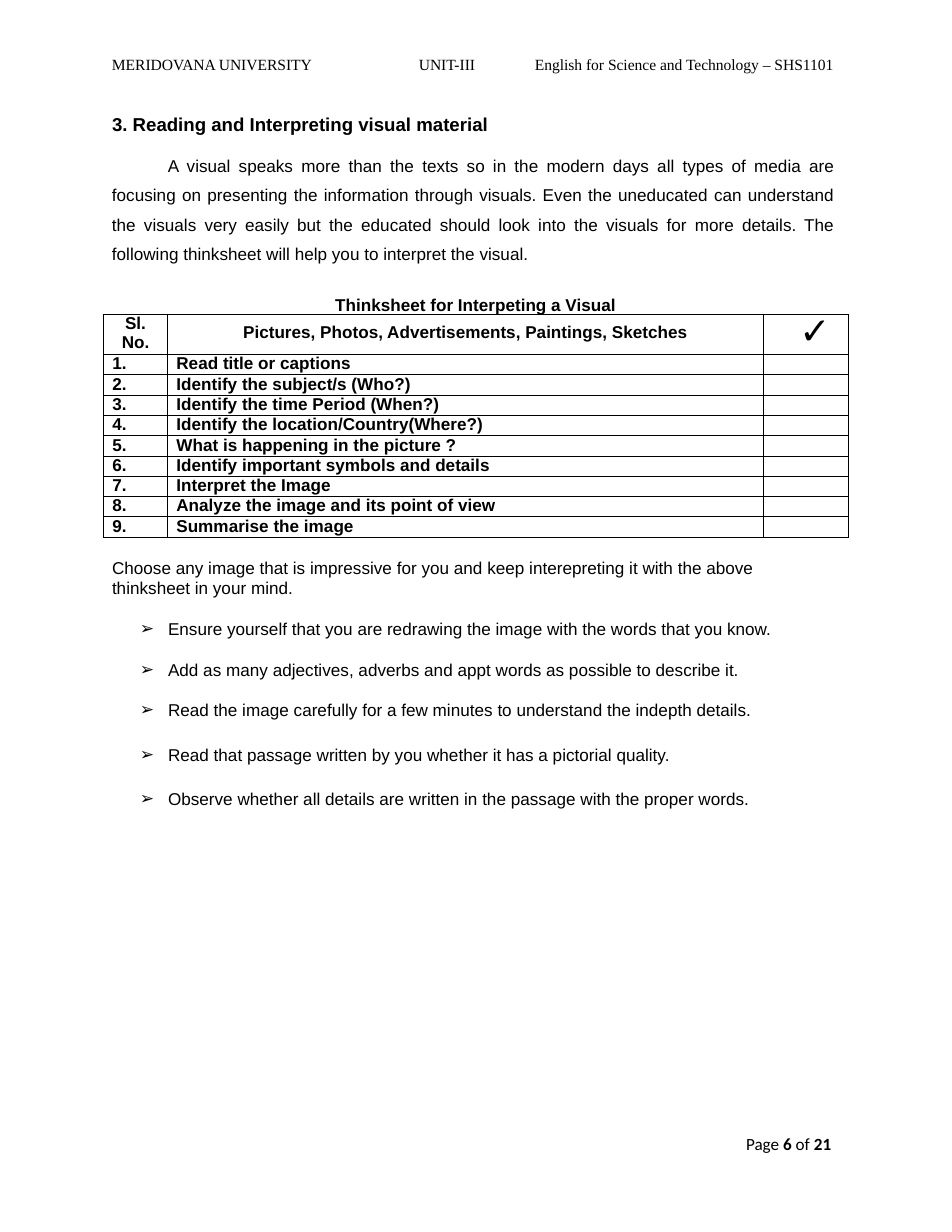
from lxml import etree
from pptx import Presentation
from pptx.dml.color import RGBColor
from pptx.enum.text import MSO_ANCHOR, MSO_AUTO_SIZE, PP_ALIGN
from pptx.oxml.ns import qn
from pptx.util import Cm, Pt

BLACK = RGBColor(0, 0, 0)
LEFT, CENTER, JUSTIFY = PP_ALIGN.LEFT, PP_ALIGN.CENTER, PP_ALIGN.JUSTIFY
TOP = MSO_ANCHOR.TOP
NO_FIT = MSO_AUTO_SIZE.NONE
MARGIN, TEXT_WIDTH = 2.54, 16.4


def place(sp, x, y, w, h):
    """Move a text shape (in cm), clear its insets and return its text frame."""
    sp.left, sp.top, sp.width, sp.height = Cm(x), Cm(y), Cm(w), Cm(h)
    tf = sp.text_frame
    tf.margin_left = tf.margin_top = tf.margin_right = tf.margin_bottom = 0
    tf.word_wrap = True
    tf.auto_size = NO_FIT
    tf.vertical_anchor = TOP
    return tf


def write(p, runs, size=11, font="Arial", align=LEFT, line=None, before=0):
    """Fill a paragraph with (text, bold) runs; line and before are in points."""
    p.alignment = align
    p.space_before = Pt(before)
    if line:
        p.line_spacing = Pt(line)
    for text, bold in runs:
        r = p.add_run()
        r.text = text
        r.font.name = font
        r.font.size = Pt(size)
        r.font.bold = bold
        r.font.color.rgb = BLACK


prs = Presentation()
prs.slide_width, prs.slide_height = Cm(21.59), Cm(27.94)
s = prs.slides.add_slide(prs.slide_layouts[1])
title, body = s.placeholders

# Page header
for x, w, text in [
    (MARGIN, 5.2, "MERIDOVANA UNIVERSITY"),
    (9.5, 1.6, "UNIT-III"),
    (12.13, 7.2, "English for Science and Technology – SHS1101"),
]:
    tf = place(s.shapes.add_textbox(0, 0, 0, 0), x, 1.25, w, 0.45)
    write(tf.paragraphs[0], [(text, False)], size=10, font="Times New Roman")

# Heading and introduction
tf = place(title, MARGIN, 2.57, TEXT_WIDTH, 0.5)
write(tf.paragraphs[0], [("3. Reading and Interpreting visual material", True)], size=12)

intro = (
    "A visual speaks more than the texts so in the modern days all types of media are "
    "focusing on presenting the information through visuals. Even the uneducated can "
    "understand the visuals very easily but the educated should look into the visuals for "
    "more details. The following thinksheet will help you to interpret the visual."
)
tf = place(s.shapes.add_textbox(0, 0, 0, 0), MARGIN, 3.33, TEXT_WIDTH, 2.67)
p = tf.paragraphs[0]
write(p, [(intro, False)], align=JUSTIFY, line=18.85)
p._p.get_or_add_pPr().set("indent", str(Cm(1.27)))

tf = place(s.shapes.add_textbox(0, 0, 0, 0), MARGIN, 6.68, 16.5, 0.45)
write(tf.paragraphs[0], [("Thinksheet for Interpeting a Visual", True)], align=CENTER)

# Thinksheet table
steps = [
    "Read title or captions",
    "Identify the subject/s (Who?)",
    "Identify the time Period (When?)",
    "Identify the location/Country(Where?)",
    "What is happening in the picture ?",
    "Identify important symbols and details",
    "Interpret the Image",
    "Analyze the image and its point of view",
    "Summarise the image",
]
table = s.shapes.add_table(
    len(steps) + 1, 3, Cm(2.35), Cm(7.12), Cm(16.9), Cm(5.06)
).table
for col, w in zip(table.columns, (1.45, 13.52, 1.93)):
    col.width = Cm(w)
for i, row in enumerate(table.rows):
    row.height = Cm(0.46 if i else 0.92)

for cell in table.iter_cells():
    cell.margin_left = cell.margin_right = cell.margin_top = cell.margin_bottom = 0
    cell.vertical_anchor = TOP
    tcPr = cell._tc.get_or_add_tcPr()
    for side in ("lnL", "lnR", "lnT", "lnB"):
        ln = etree.SubElement(tcPr, qn("a:" + side), w=str(Pt(0.5)))
        fill = etree.SubElement(ln, qn("a:solidFill"))
        etree.SubElement(fill, qn("a:srgbClr"), val=str(BLACK))
    cell.fill.background()

number_head, topic_head, tick_head = table.rows[0].cells
write(number_head.text_frame.paragraphs[0], [("Sl.", True)], align=CENTER, line=12.3)
write(number_head.text_frame.add_paragraph(), [("No.", True)], align=CENTER, line=12.3)
topic_head.margin_top = Cm(0.2)
write(topic_head.text_frame.paragraphs[0],
      [("Pictures, Photos, Advertisements, Paintings, Sketches", True)], align=CENTER)
tick_head.margin_left = Cm(0.81)
write(tick_head.text_frame.paragraphs[0], [("✓", False)], size=24, line=24.8)

for i, step in enumerate(steps, 1):
    for j, text in enumerate((f"{i}.", step)):
        cell = table.cell(i, j)
        cell.margin_left = Cm(0.2)
        write(cell.text_frame.paragraphs[0], [(text, True)], line=12.2)
    # A small end mark keeps the empty cell from stretching its row
    end = etree.SubElement(table.cell(i, 2).text_frame.paragraphs[0]._p, qn("a:endParaRPr"))
    end.set("sz", "800")

# Task and its checklist
task = ("Choose any image that is impressive for you and keep interepreting it with the "
        "above thinksheet in your mind.")
checks = [
    ("Ensure yourself that you are redrawing the image with the words that you know.", 13),
    ("Add as many adjectives, adverbs and appt words as possible to describe it.", 13),
    ("Read the image carefully for a few minutes to understand the indepth details.", 13),
    ("Read that passage written by you whether it has a pictorial quality.", 15.2),
    ("Observe whether all details are written in the passage with the proper words.", 15.2),
]
tf = place(body, MARGIN, 12.67, TEXT_WIDTH, 5.5)
p = tf.paragraphs[0]
write(p, [(task, False)], line=12.6)
pPr = p._p.get_or_add_pPr()
pPr.set("marL", "0")
pPr.set("indent", "0")
etree.SubElement(pPr, qn("a:buNone"))
for text, before in checks:
    p = tf.add_paragraph()
    write(p, [(text, False)], before=before)
    pPr = p._p.get_or_add_pPr()
    pPr.set("marL", str(Cm(1.27)))
    pPr.set("indent", str(-Cm(0.64)))
    etree.SubElement(pPr, qn("a:buChar"), char="➢")

# Page number
tf = place(s.shapes.add_textbox(0, 0, 0, 0), 16.92, 25.76, 2.2, 0.45)
write(tf.paragraphs[0],
      [("Page ", False), ("6 ", True), ("of ", False), ("21", True)],
      font="Calibri", line=11.5)

prs.save("out.pptx")
